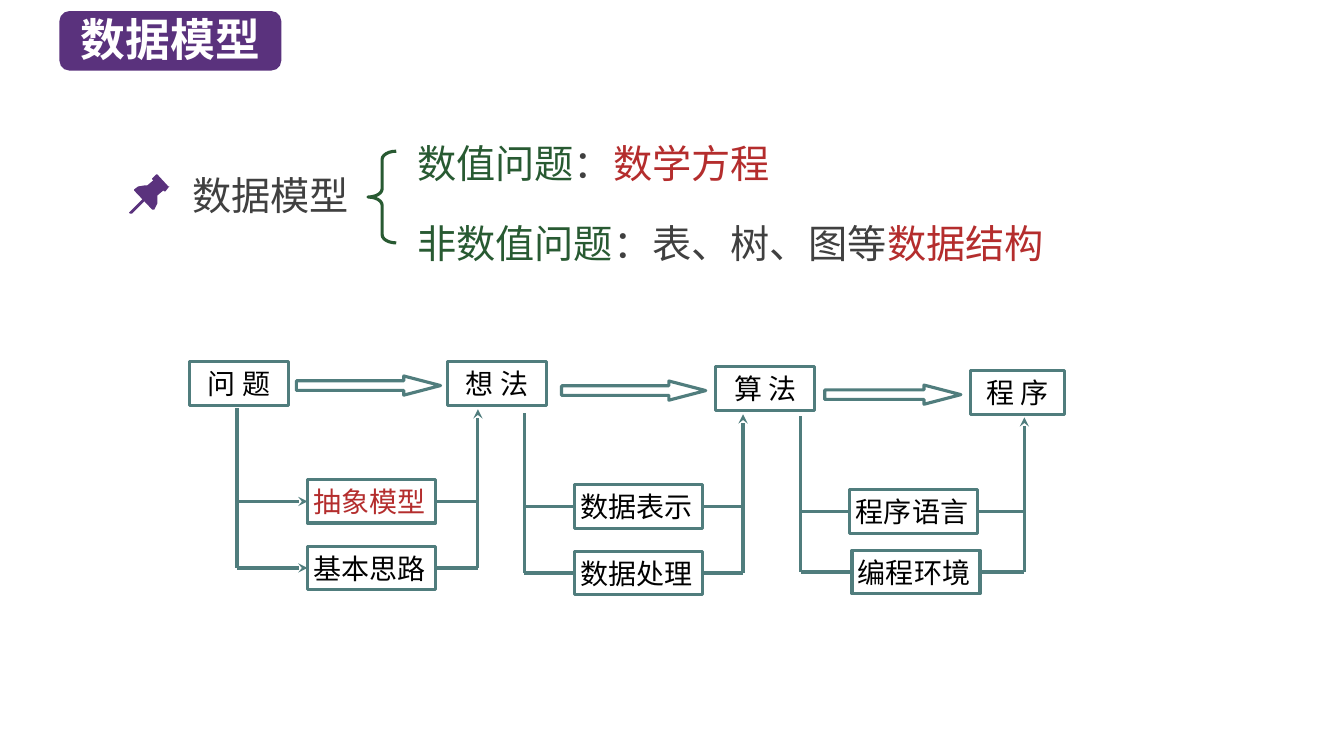
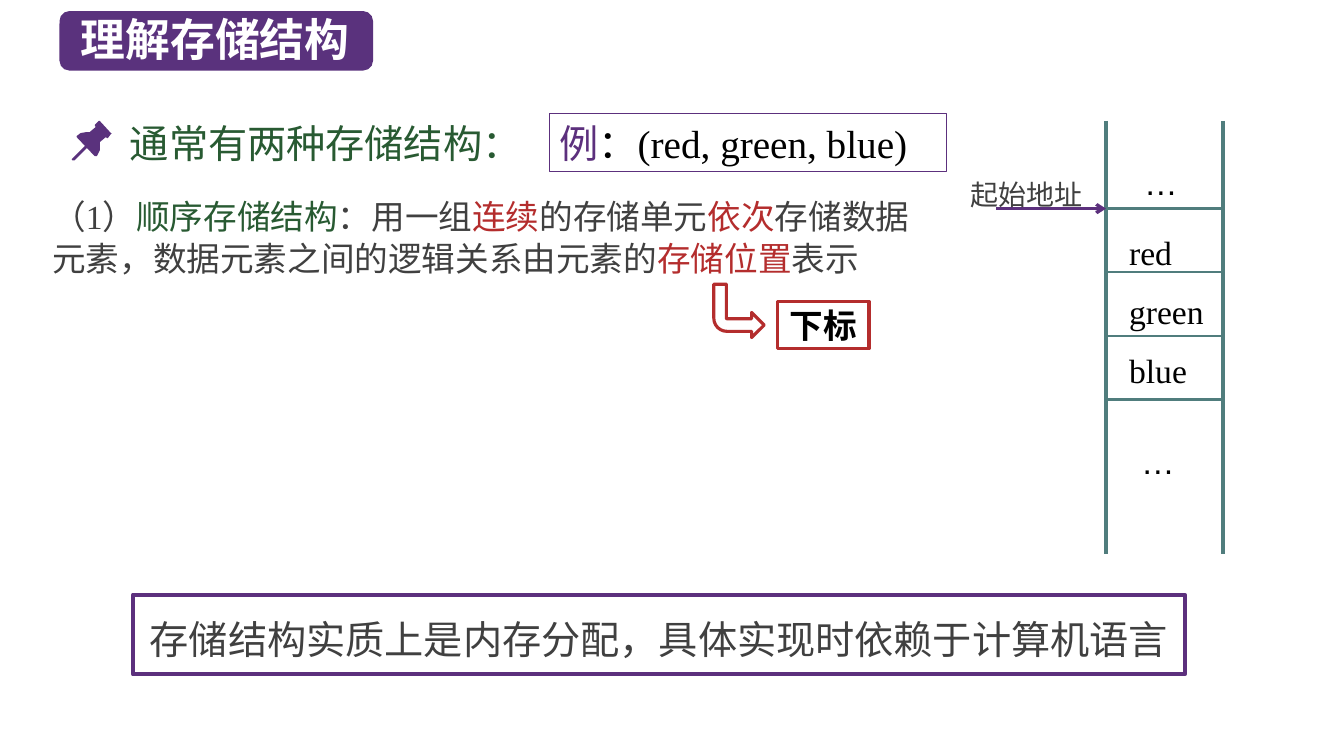
"""Build two slides on data models and storage structures."""
from dataclasses import dataclass

from pptx import Presentation
from pptx.dml.color import RGBColor
from pptx.enum.shapes import MSO_CONNECTOR, MSO_SHAPE
from pptx.enum.text import MSO_ANCHOR, MSO_AUTO_SIZE, PP_ALIGN
from pptx.oxml.ns import qn
from pptx.oxml.xmlchemy import OxmlElement
from pptx.util import Inches, Pt

RECT = MSO_SHAPE.RECTANGLE
ROUND = MSO_SHAPE.ROUNDED_RECTANGLE
ARROW = MSO_SHAPE.RIGHT_ARROW
BENT = MSO_SHAPE.BENT_ARROW
BRACE = MSO_SHAPE.LEFT_BRACE
STRAIGHT = MSO_CONNECTOR.STRAIGHT
TOP, MIDDLE = MSO_ANCHOR.TOP, MSO_ANCHOR.MIDDLE
LEFT, CENTER = PP_ALIGN.LEFT, PP_ALIGN.CENTER
FIXED = MSO_AUTO_SIZE.NONE
LEFT_SIDE, RIGHT_SIDE = 1, 3

PIN_HEAD = [(39, 12), (28, 0), (27, 0), (23, 4), (23, 5), (24, 6), (18, 11),
            (15, 11), (9, 12), (5, 15), (5, 16), (23, 35), (25, 35), (28, 29),
            (28, 21), (34, 16), (35, 17), (36, 17), (39, 13), (40, 12)]
PIN_TIP = [(2, 39), (1, 39), (0, 38), (1, 37), (14, 24), (16, 24), (16, 26), (3, 39)]


@dataclass(frozen=True)
class Theme:
    """Colours, fonts and type sizes."""
    band: str = "5A327D"
    purple: str = "5C307D"
    green: str = "285A32"
    red: str = "B42D2D"
    teal: str = "507D7D"
    gray: str = "404040"
    black: str = "000000"
    white: str = "FFFFFF"
    sans: str = "Noto Sans CJK SC"
    serif: str = "Times New Roman"
    plain: str = "Arial"
    title: int = 32
    large: int = 28
    body: int = 24
    small: int = 20


THEME = Theme()


class Deck:
    """Holds the style and the current slide."""

    def __init__(self, theme):
        """Start a wide presentation."""
        self.theme = theme
        self.file = Presentation()
        self.file.slide_width = Inches(13.33)
        self.file.slide_height = Inches(7.5)
        self.slide = None

    def start(self, title, width):
        """Add a slide with its title on a rounded band."""
        self.slide = self.file.slides.add_slide(self.file.slide_layouts[5])
        head = self.slide.shapes.title
        head.left, head.top = Inches(0.7), Inches(0.07)
        head.width, head.height = Inches(width - 0.09), Inches(0.64)
        self.label(head, title, size=self.theme.title, color=self.theme.white, bold=True)
        band = self.shape(ROUND, (0.59, 0.11, width, 0.59), fill=self.theme.band)
        head.element.addprevious(band.element)

    def paint(self, shape, fill=None, line=None, weight=2.25):
        """Set the fill and outline of a shape."""
        shape.shadow.inherit = False
        if fill:
            shape.fill.solid()
            shape.fill.fore_color.rgb = RGBColor.from_string(fill)
        else:
            shape.fill.background()
        if line:
            shape.line.color.rgb = RGBColor.from_string(line)
            shape.line.width = Pt(weight)
        else:
            shape.line.fill.background()

    def shape(self, kind, place, adjust=(), **look):
        """Add a preset shape."""
        shape = self.slide.shapes.add_shape(kind, *map(Inches, place))
        for index, value in enumerate(adjust):
            shape.adjustments[index] = value
        self.paint(shape, **look)
        return shape

    def label(self, shape, *lines, size, color, face=None, bold=False,
              align=LEFT, anchor=TOP, gap=None, inset=None):
        """Fill a shape with lines, each a string or (text, colour, font) runs."""
        frame = shape.text_frame
        frame.word_wrap, frame.auto_size = True, FIXED
        frame.vertical_anchor = anchor
        if inset:
            frame.margin_left = frame.margin_right = Inches(inset[0])
            frame.margin_top = frame.margin_bottom = Inches(inset[1])
        for index, line in enumerate(lines):
            para = frame.add_paragraph() if index else frame.paragraphs[0]
            para.alignment = align
            if gap:
                para.line_spacing = gap
            para.font.size, para.font.bold = Pt(size), bold
            para.font.color.rgb = RGBColor.from_string(color)
            para.font.name = face or self.theme.sans
            for text, tint, *font in [(line, None)] if isinstance(line, str) else line:
                run = para.add_run()
                run.text = text
                if tint:
                    run.font.color.rgb = RGBColor.from_string(tint)
                if font:
                    run.font.name = font[0]
        for latin in list(shape.element.iter(qn("a:latin"))):
            asian = OxmlElement("a:ea")
            asian.set("typeface", self.theme.sans)
            latin.addnext(asian)

    def text(self, place, *lines, **style):
        """Add a text box."""
        self.label(self.slide.shapes.add_textbox(*map(Inches, place)), *lines, **style)

    def node(self, place, name, color=THEME.black, align=LEFT):
        """Add a flow chart box."""
        box = self.shape(RECT, place, line=self.theme.teal)
        self.label(box, name, size=self.theme.small, color=color, align=align,
                   anchor=MIDDLE, inset=(0.06, 0.01))
        return box

    def line(self, start, end, color=THEME.teal, weight=2.25, tip=None):
        """Add a straight line with an optional arrowhead."""
        line = self.slide.shapes.add_connector(STRAIGHT, *map(Inches, start + end))
        line.line.color.rgb = RGBColor.from_string(color)
        line.line.width = Pt(weight)
        props = line.element.spPr
        if tip:
            tail = OxmlElement("a:tailEnd")
            tail.set("type", tip)
            props.find(qn("a:ln")).append(tail)
        props.append(OxmlElement("a:effectLst"))
        return line

    def pin(self, left, top):
        """Draw a push pin."""
        for points in (PIN_HEAD, PIN_TIP):
            pen = self.slide.shapes.build_freeform(*points[0], scale=Inches(0.01))
            pen.add_line_segments(points[1:])
            self.paint(pen.convert_to_shape(Inches(left), Inches(top)), fill=self.theme.band)

    def branch(self, stem, rise, top, tip, boxes):
        """Link a pair of boxes to a stem on the left and a riser on the right."""
        for left, y, name, color in boxes:
            box = self.node((left, y, 1.27, 0.43), name, color)
            mid = y + 0.215
            self.line((stem, mid), (left, mid), tip=tip).end_connect(box, LEFT_SIDE)
            self.line((left + 1.27, mid), (rise, mid)).begin_connect(box, RIGHT_SIDE)
        self.line((stem, top), (stem, mid))
        self.line((rise, mid), (rise, top + 0.01), tip="stealth")


def model(deck):
    """Build the data model slide."""
    t = deck.theme
    deck.start("数据模型", 2.2)
    deck.pin(1.28, 1.73)
    deck.text((1.81, 1.65, 1.83, 0.57), "数据模型", size=t.large, color=t.gray)
    deck.shape(BRACE, (3.65, 1.5, 0.28, 0.91), (0.29, 0.5), line=t.green)
    cases = [
        (1.24, 5.02, [("数值问题", t.green), ("：", None), ("数学方程", t.red)]),
        (2.03, 6.51, [("非数值问题", t.green), ("：表、树、图等", None), ("数据结构", t.red)]),
    ]
    for top, width, runs in cases:
        deck.text((4.04, top, width, 0.62), runs, size=t.large, color=t.gray, gap=1.2)

    stages = [(1.88, 3.59, 0.98, "问 题"), (4.44, 3.59, 0.98, "想 法"),
              (7.1, 3.64, 0.98, "算 法"), (9.63, 3.68, 0.93, "程 序")]
    for left, top, width, name in stages:
        deck.node((left, top, width, 0.43), name, align=CENTER)
    for left, top, width in [(2.94, 3.73, 1.43), (5.57, 3.78, 1.43), (8.18, 3.82, 1.35)]:
        deck.shape(ARROW, (left, top, width, 0.19), (0.5, 1.92), line=t.teal)

    deck.branch(2.35, 4.74, 4.05, "stealth", [
        (3.05, 4.76, "抽象模型", t.red), (3.05, 5.42, "基本思路", t.black)])
    deck.branch(5.2, 7.37, 4.1, None, [
        (5.7, 4.81, "数据表示", t.black), (5.7, 5.47, "数据处理", t.black)])
    deck.branch(7.94, 10.16, 4.13, None, [
        (8.43, 4.86, "程序语言", t.black), (8.45, 5.46, "编程环境", t.black)])


def store(deck):
    """Build the storage structure slide."""
    t = deck.theme
    deck.start("理解存储结构", 3.11)
    deck.pin(0.71, 1.2)
    deck.text((1.19, 1.12, 4.6, 0.67), "通常有两种存储结构：",
              size=t.large, color=t.green, gap=Pt(35))
    deck.text((0.42, 1.88, 8.73, 1.02), [
        ("（1）", None, t.serif), ("顺序存储结构", t.green), ("：用一组", None),
        ("连续", t.red), ("的存储单元", None), ("依次", t.red),
        ("存储数据元素，数据元素之间的逻辑关系由元素的", None),
        ("存储位置", t.red), ("表示", None),
    ], size=t.body, color=t.gray, gap=Pt(30))

    left, right = 10.97, 12.13
    deck.text((11.1, 2.07, 1.08, 1.87), "red", "green", "blue",
              size=t.body, color=t.black, face=t.serif, gap=Pt(42))
    for row, weight in enumerate((2.25, 1.5, 1.5, 2.25)):
        y = 2.07 + row * 0.63
        deck.line((left, y), (right, y), weight=weight)
    for x in (left, right):
        deck.line((x, 1.2), (x, 5.5))
    for x, y in [(11.25, 1.37), (11.22, 4.14)]:
        deck.text((x, y, 0.54, 0.69), "…", size=t.body, color=t.black,
                  face=t.plain, gap=Pt(42))
    deck.line((9.88, 2.07), (left, 2.07), color=t.purple, tip="arrow")
    deck.text((9.53, 1.46, 1.35, 0.61), "起始地址", size=t.small, color=t.gray, gap=Pt(42))

    note = deck.shape(RECT, (1.32, 5.9, 10.43, 0.79), line=t.purple, weight=3)
    deck.label(note, "存储结构实质上是内存分配，具体实现时依赖于计算机语言",
               size=t.large, color=t.gray, align=CENTER, anchor=MIDDLE, gap=Pt(40))
    case = deck.shape(RECT, (5.45, 1.13, 3.94, 0.57), line=t.purple, weight=0.75)
    deck.label(case, [("例", t.purple), ("：(red, green, blue)", None)],
               size=t.large, color=t.black, face=t.serif)
    index = deck.shape(RECT, (7.71, 2.99, 0.91, 0.47), line=t.red)
    deck.label(index, "下标", size=t.body, color=t.black, face=t.serif, bold=True,
               align=CENTER, anchor=MIDDLE, gap=Pt(28.8), inset=(0, 0.05))
    bend = deck.shape(BENT, (7.08, 2.82, 0.5, 0.53), (0.25, 0.25, 0.25, 0.26), line=t.red)
    bend.element.spPr.find(qn("a:xfrm")).set("flipV", "1")


def main():
    """Build and save the deck."""
    deck = Deck(THEME)
    model(deck)
    store(deck)
    deck.file.save("out.pptx")


if __name__ == "__main__":
    main()
